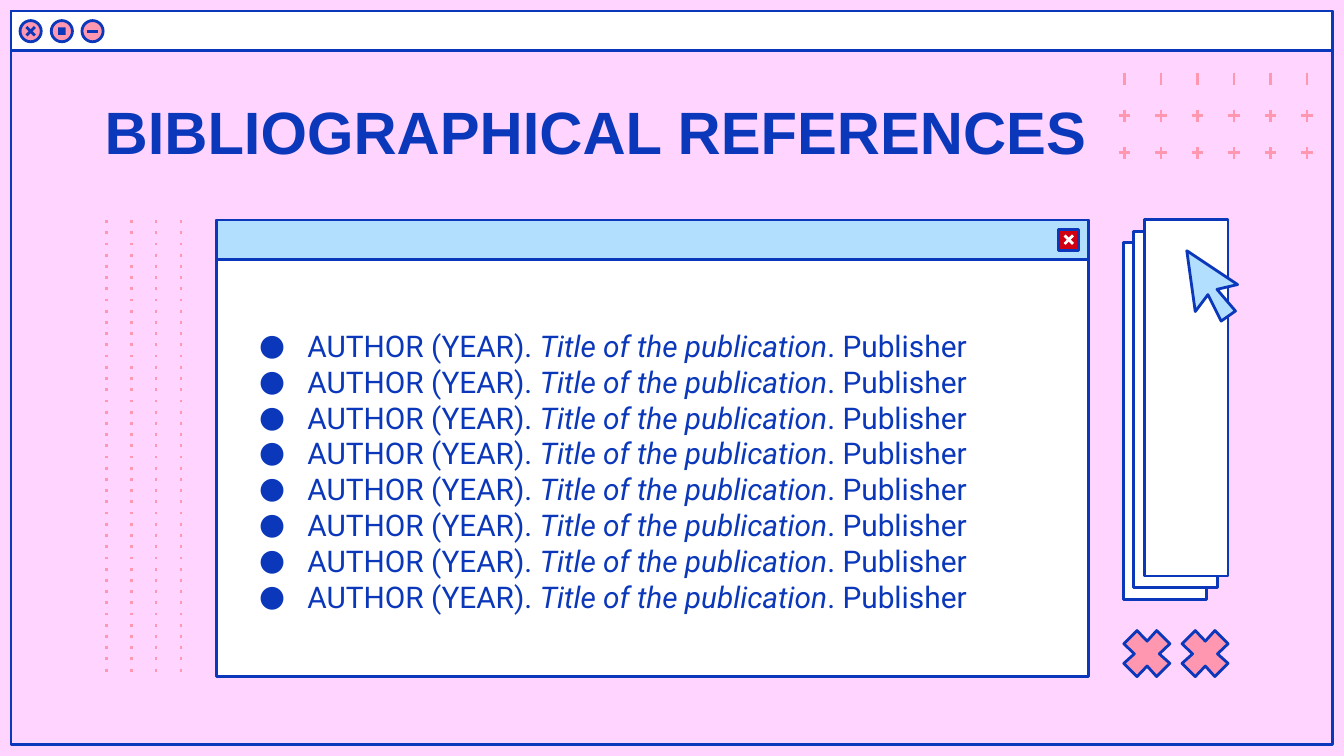
"""Builds the bibliography slide with its retro window decor."""
import lxml.etree
import pptx
import pptx.dml.color
import pptx.enum.dml
import pptx.enum.shapes
import pptx.enum.text
import pptx.oxml.ns
import pptx.util

Cm = pptx.util.Cm
Pt = pptx.util.Pt
RGBColor = pptx.dml.color.RGBColor
SHAPE = pptx.enum.shapes.MSO_SHAPE
qn = pptx.oxml.ns.qn

BLUE = RGBColor(0x0B, 0x37, 0xBA)
PINK = RGBColor(0xFF, 0xD4, 0xFF)
ROSE = RGBColor(0xFF, 0x97, 0xB1)
SKY = RGBColor(0xB3, 0xDF, 0xFF)
RED = RGBColor(0xCF, 0x00, 0x11)
WHITE = RGBColor(0xFF, 0xFF, 0xFF)

CROSS = [(0.87, 0.25), (0.62, 0), (0.44, 0.2), (0.25, 0), (0, 0.25), (0.2, 0.44),
         (0, 0.62), (0.25, 0.87), (0.44, 0.67), (0.62, 0.87), (0.87, 0.62), (0.67, 0.44)]
CURSOR = [(0, 0), (0.16, 1.15), (0.4, 0.83), (0.65, 1.33), (0.92, 1.14),
          (0.57, 0.73), (0.96, 0.64)]


def style(shape, fill, line=BLUE):
    """Give a shape its fill and outline, without shadow."""
    shape.shadow.inherit = False
    if fill is None:
        shape.fill.background()
    else:
        shape.fill.solid()
        shape.fill.fore_color.rgb = fill
    shape.line.color.rgb = line
    shape.line.width = Pt(1.5)


def add_box(slide, left, top, width, height, fill, kind=SHAPE.RECTANGLE):
    """Add an outlined preset shape."""
    shape = slide.shapes.add_shape(kind, Cm(left), Cm(top), Cm(width), Cm(height))
    style(shape, fill)
    return shape


def add_form(slide, left, top, points, fill):
    """Add a closed outline whose points are offsets from left and top."""
    spots = [(Cm(left + x), Cm(top + y)) for x, y in points]
    pen = slide.shapes.build_freeform(*spots[0])
    pen.add_line_segments(spots[1:], close=True)
    style(pen.convert_to_shape(), fill)


def add_line(slide, x1, y1, x2, y2, color, dotted=False):
    """Add a straight line, dotted on demand."""
    line = slide.shapes.add_connector(
        pptx.enum.shapes.MSO_CONNECTOR.STRAIGHT, Cm(x1), Cm(y1), Cm(x2), Cm(y2))
    line.line.color.rgb = color
    line.line.width = Pt(1.5)
    if dotted:
        line.line.dash_style = pptx.enum.dml.MSO_LINE.ROUND_DOT
        line.element.find(".//" + qn("a:prstDash")).set("val", "dot")
    lxml.etree.SubElement(line.element.spPr, qn("a:effectLst"))


def add_close(slide, x, y, color):
    """Add a small diagonal cross centred on a point."""
    arm = 0.08
    for side in (-arm, arm):
        add_line(slide, x - arm, y - side, x + arm, y + side, color)


def add_text(slide, left, top, width, height, anchor):
    """Add a wrapping text box and return its frame."""
    frame = slide.shapes.add_textbox(Cm(left), Cm(top), Cm(width), Cm(height)).text_frame
    frame.word_wrap = True
    frame.vertical_anchor = anchor
    frame.margin_left = frame.margin_right = Cm(0.25)
    frame.margin_top = frame.margin_bottom = Cm(0.25)
    return frame


def set_font(para, name, size, bold=False):
    """Set the font of a whole paragraph."""
    para.font.name = name
    para.font.size = Pt(size)
    para.font.bold = bold
    para.font.color.rgb = BLUE


def add_bullet(para):
    """Give a paragraph a hanging blue bullet."""
    props = para._p.get_or_add_pPr()
    props.set("marL", str(Cm(1.27)))
    props.set("indent", str(-Cm(0.91)))
    color = lxml.etree.SubElement(props, qn("a:buClr"))
    lxml.etree.SubElement(color, qn("a:srgbClr"), val=str(BLUE))
    lxml.etree.SubElement(props, qn("a:buFont"), typeface="Roboto")
    lxml.etree.SubElement(props, qn("a:buChar"), char="●")


def add_frame(slide):
    """Add the outer window with its three buttons."""
    add_box(slide, 0.21, 0.21, 24.98, 13.87, None)
    add_box(slide, 0.21, 0.21, 24.98, 0.74, WHITE)
    mid = 0.59
    for x in (0.58, 1.17, 1.75):
        add_box(slide, x - 0.2, mid - 0.2, 0.4, 0.4, ROSE, SHAPE.OVAL)
    add_close(slide, 0.58, mid, BLUE)
    stop = add_box(slide, 1.1, mid - 0.07, 0.14, 0.14, BLUE)
    stop.line.fill.background()
    add_line(slide, 1.64, mid, 1.86, mid, BLUE)


def add_decor(slide):
    """Add the dotted lines and the grid of plus signs."""
    for col in range(4):
        x = 2.01 + 0.47 * col
        add_line(slide, x, 4.16, x, 12.79, ROSE, dotted=True)
    arm = 0.11
    for row in range(3):
        for col in range(6):
            x, y = 21.25 + 0.69 * col, 1.49 + 0.7 * row
            add_line(slide, x, y - arm, x, y + arm, ROSE)
            if row:
                add_line(slide, x - arm, y, x + arm, y, ROSE)


def add_side(slide):
    """Add the crosses, the stacked cards and the cursor."""
    for left in (21.24, 22.34):
        add_form(slide, left, 11.92, CROSS, ROSE)
    for step in range(3):
        add_box(slide, 21.23 + 0.2 * step, 4.59 - 0.22 * step, 1.58, 6.74, WHITE)
    add_form(slide, 22.43, 4.74, CURSOR, SKY)


def add_panel(slide):
    """Add the inner window with the list of works."""
    add_box(slide, 4.09, 4.16, 16.48, 8.63, WHITE)
    add_box(slide, 4.09, 4.16, 16.48, 0.75, SKY)
    add_box(slide, 20, 4.34, 0.39, 0.39, RED)
    add_close(slide, 20.2, 4.53, WHITE)
    frame = add_text(slide, 4.29, 5.66, 16.05, 6.48, pptx.enum.text.MSO_ANCHOR.MIDDLE)
    for row in range(8):
        para = frame.add_paragraph() if row else frame.paragraphs[0]
        add_bullet(para)
        set_font(para, "Roboto", 16)
        para.add_run().text = "AUTHOR (YEAR). "
        title = para.add_run()
        title.text = "Title of the publication"
        title.font.italic = True
        para.add_run().text = ". Publisher"


def add_title(slide):
    """Add the slide title."""
    frame = add_text(slide, 1.73, 1.55, 21.97, 1.65, pptx.enum.text.MSO_ANCHOR.TOP)
    para = frame.paragraphs[0]
    para.text = "BIBLIOGRAPHICAL REFERENCES"
    set_font(para, "Arial", 32, bold=True)


def main():
    """Build and save the slide."""
    deck = pptx.Presentation()
    deck.slide_width, deck.slide_height = Cm(25.4), Cm(14.29)
    slide = deck.slides.add_slide(deck.slide_layouts[6])
    slide.background.fill.solid()
    slide.background.fill.fore_color.rgb = PINK
    add_frame(slide)
    add_decor(slide)
    add_side(slide)
    add_panel(slide)
    add_title(slide)
    deck.save("out.pptx")


if __name__ == "__main__":
    main()
